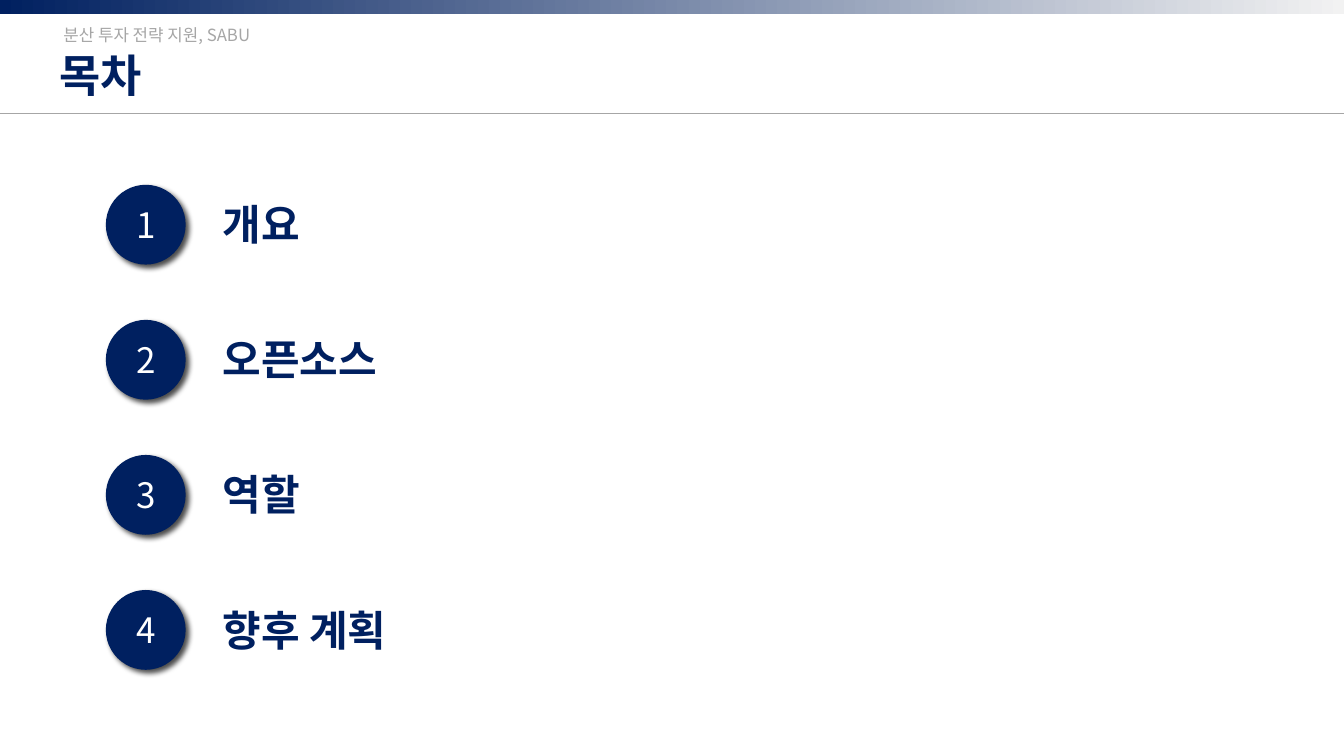
from dataclasses import dataclass

from pptx import Presentation
from pptx import util as u
from pptx.dml.color import RGBColor
from pptx.enum import shapes, text
from pptx.oxml import parse_xml
from pptx.oxml.ns import nsdecls, qn
from pptx.oxml.xmlchemy import OxmlElement

NAVY = RGBColor(0x00, 0x20, 0x60)
GRAY = RGBColor(0xA6, 0xA6, 0xA6)
PALE = RGBColor(0xF2, 0xF2, 0xF2)
WHITE = RGBColor(0xFF, 0xFF, 0xFF)
FONT = "Noto Sans CJK KR"
WIDTH, HEIGHT = u.Inches(13.333), u.Inches(7.5)
COLS, ROWS = 160, 90
TOPICS = ["개요", "오픈소스", "역할", "향후 계획"]
FIRST, PITCH = 22, 16.08  # row of the first topic, rows between topics
SHADOW = (
    f'<a:effectLst {nsdecls("a")}><a:outerShdw blurRad="{u.Pt(4)}" dist="{u.Pt(3)}" '
    'dir="2700000" algn="tl" rotWithShape="0"><a:srgbClr val="000000">'
    '<a:alpha val="70000"/></a:srgbClr></a:outerShdw></a:effectLst>'
)


@dataclass
class Area:
    """A block of the slide, in grid columns and rows."""
    col: float
    row: float
    wide: float
    high: float

    def box(self) -> tuple[int, int, int, int]:
        return (across(self.col), down(self.row), across(self.wide), down(self.high))


@dataclass
class Style:
    size: float
    color: RGBColor
    bold: bool = False


TITLE = Style(32, NAVY, True)
TAG = Style(12, GRAY)
TOPIC = Style(30, NAVY, True)
DIGIT = Style(25, WHITE)


def across(cols: float) -> int:
    return round(WIDTH * cols / COLS)


def down(rows: float) -> int:
    return round(HEIGHT * rows / ROWS)


def write(frame, words: str, style: Style) -> None:
    line = frame.paragraphs[0]
    line.text = words
    font = line.font
    font.size, font.bold, font.name = u.Pt(style.size), style.bold, FONT
    font.color.rgb = style.color
    asian = OxmlElement("a:ea")
    asian.set("typeface", FONT)
    line._p.pPr.find(qn("a:defRPr")).append(asian)


def label(home, area: Area, words: str, style: Style) -> None:
    frame = home.add_textbox(*area.box()).text_frame
    frame.margin_left = frame.margin_right = 0
    frame.margin_top = frame.margin_bottom = 0
    frame.word_wrap = True
    frame.auto_size = text.MSO_AUTO_SIZE.SHAPE_TO_FIT_TEXT
    write(frame, words, style)


def badge(home, area: Area, digit: int) -> None:
    """Draw a numbered disc with a soft shadow."""
    disc = home.add_shape(shapes.MSO_SHAPE.OVAL, *area.box())
    disc.fill.solid()
    disc.fill.fore_color.rgb = NAVY
    disc.line.fill.background()
    disc._element.spPr.append(parse_xml(SHADOW))
    frame = disc.text_frame
    frame.vertical_anchor = text.MSO_ANCHOR.MIDDLE
    frame.paragraphs[0].alignment = text.PP_ALIGN.CENTER
    write(frame, str(digit), DIGIT)


def rule(home, row: float) -> None:
    line = home.add_connector(
        shapes.MSO_CONNECTOR.STRAIGHT, 0, down(row), WIDTH, down(row))
    line.line.color.rgb = GRAY
    line.line.width = u.Pt(1)
    line._element.spPr.append(OxmlElement("a:effectLst"))


def band(home, area: Area) -> None:
    bar = home.add_shape(shapes.MSO_SHAPE.RECTANGLE, *area.box())
    bar.shadow.inherit = False
    bar.line.fill.background()
    bar.fill.gradient()
    bar.fill.gradient_angle = 0
    for stop, color, place in zip(bar.fill.gradient_stops, (NAVY, PALE), (0, 1)):
        stop.color.rgb = color
        stop.position = place


def main() -> None:
    deck = Presentation()
    deck.slide_width, deck.slide_height = WIDTH, HEIGHT
    home = deck.slides.add_slide(deck.slide_layouts[6]).shapes
    rule(home, 13.5)
    label(home, Area(7.08, 5.64, 53.5, 6.5), "목차", TITLE)
    band(home, Area(0, 0, COLS, 1.68))
    label(home, Area(7.56, 3, 25, 2.4), "분산 투자 전략 지원, SABU", TAG)
    for index, topic in enumerate(TOPICS):
        row = FIRST + index * PITCH
        group = home.add_group_shape().shapes
        label(group, Area(26.5, row + 1.68, 44, 6), topic, TOPIC)
        badge(group, Area(12.6, row, 9.5, 9.5), index + 1)
    deck.save("out.pptx")


if __name__ == "__main__":
    main()
